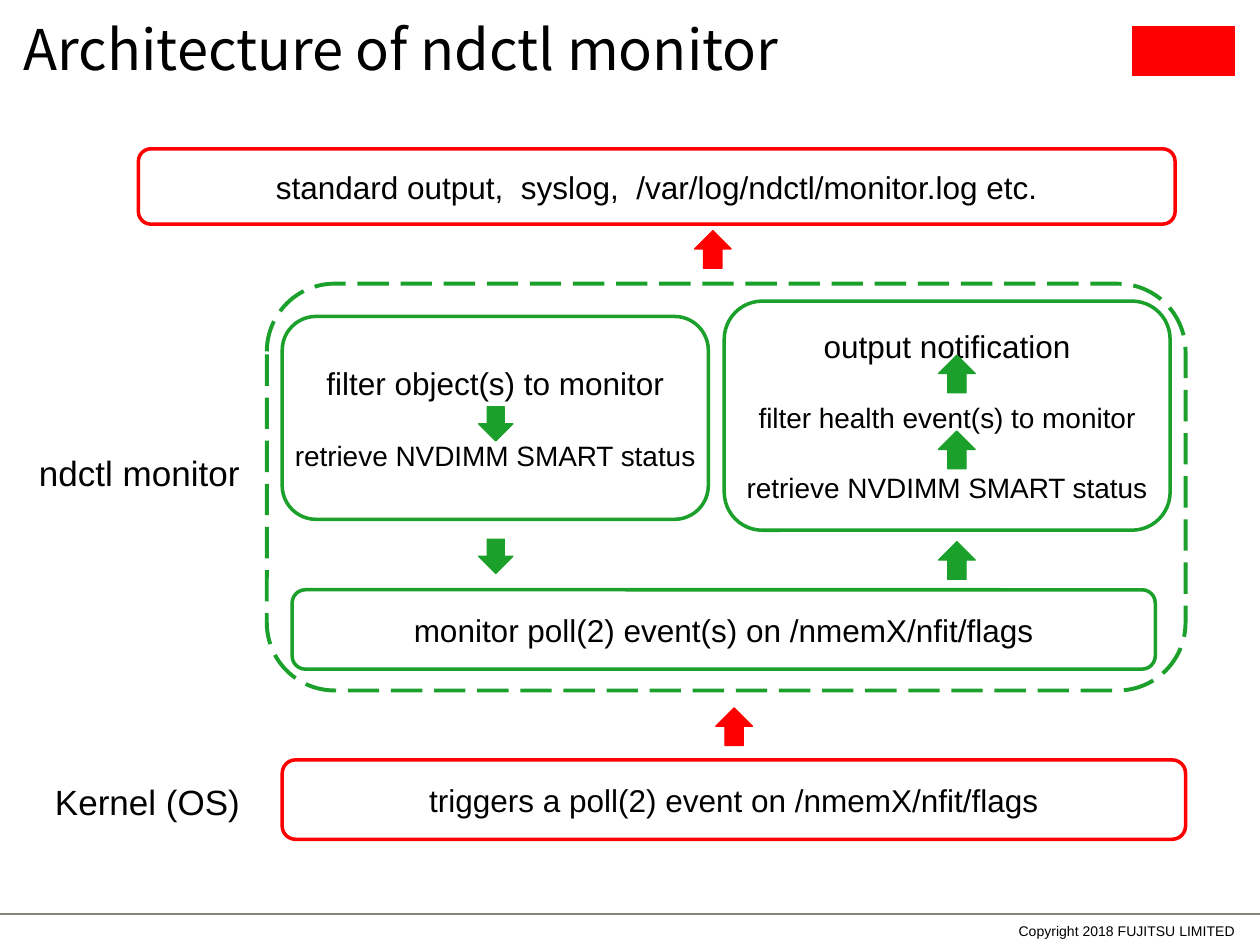
from dataclasses import dataclass

from lxml.etree import SubElement
from pptx import Presentation
from pptx.dml.color import RGBColor
from pptx.enum.dml import MSO_LINE
from pptx.enum.shapes import MSO_CONNECTOR, MSO_SHAPE as Shape
from pptx.enum.text import MSO_ANCHOR as Anchor, PP_ALIGN as Align
from pptx.oxml.ns import qn
from pptx.util import Cm, Pt


@dataclass(frozen=True)
class Theme:
    black: RGBColor = RGBColor(0x00, 0x00, 0x00)
    white: RGBColor = RGBColor(0xFF, 0xFF, 0xFF)
    red: RGBColor = RGBColor(0xFF, 0x00, 0x00)
    green: RGBColor = RGBColor(0x1B, 0xA1, 0x2B)
    rule: RGBColor = RGBColor(0x87, 0x86, 0x7E)
    title_font: str = "Noto Sans CJK JP"
    body_font: str = "Arial"
    title: int = 32
    label: int = 20
    step: int = 18
    small_step: int = 16
    footer: int = 8
    step_gap: float = 20.7


THEME = Theme()


def place(left, top, width, height):
    return Cm(left), Cm(top), Cm(width), Cm(height)


def style_para(para, text, size, align, font=THEME.body_font):
    para.text = text
    para.alignment = align
    para.font.name = font
    para.font.size = Pt(size)
    para.font.color.rgb = THEME.black


def add_text(page, area, text, size, align, font=THEME.body_font):
    """Add a line of text without margins, centred vertically."""
    frame = page.shapes.add_textbox(*place(*area)).text_frame
    frame.word_wrap = True
    frame.vertical_anchor = Anchor.MIDDLE
    frame.margin_left = frame.margin_right = 0
    frame.margin_top = frame.margin_bottom = 0
    style_para(frame.paragraphs[0], text, size, align, font)


def add_label(page, area, text):
    frame = page.shapes.add_textbox(*place(*area)).text_frame
    frame.word_wrap = False
    style_para(frame.paragraphs[0], text, THEME.label, Align.CENTER)


def add_outline(page, kind, area, color, weight, fill=None):
    shape = page.shapes.add_shape(kind, *place(*area))
    shape.shadow.inherit = False
    if fill is None:
        shape.fill.background()
    else:
        shape.fill.solid()
        shape.fill.fore_color.rgb = fill
    shape.line.color.rgb = color
    shape.line.width = Pt(weight)
    return shape


def add_box(page, area, color, *steps):
    """Add a rounded box; each step is a (text, size) pair."""
    box = add_outline(page, Shape.ROUNDED_RECTANGLE, area, color, 2, THEME.white)
    frame = box.text_frame
    frame.word_wrap = False
    frame.vertical_anchor = Anchor.MIDDLE
    for index, (text, size) in enumerate(steps):
        para = frame.add_paragraph() if index else frame.paragraphs[0]
        style_para(para, text, size, Align.CENTER)
        if index:
            para.space_before = Pt(THEME.step_gap)


def add_up_arrow(page, left, top, color):
    add_outline(page, Shape.UP_ARROW, (left, top, 0.74, 0.76), color, 0.75, color)


def add_down_arrow(page, left, top, color):
    add_outline(page, Shape.DOWN_ARROW, (left, top, 0.69, 0.69), color, 0.75, color)


def add_footer(page):
    rule = page.shapes.add_connector(
        MSO_CONNECTOR.STRAIGHT, Cm(0), Cm(18.42), Cm(25.4), Cm(18.42))
    rule.line.color.rgb = THEME.rule
    rule.line.width = Pt(1)
    SubElement(rule._element.spPr, qn("a:effectLst"))
    add_text(page, (13.72, 18.49, 11.18, 0.56), "Copyright 2018 FUJITSU LIMITED",
             THEME.footer, Align.RIGHT)


def add_monitor(page):
    retrieve = ("retrieve NVDIMM SMART status", THEME.small_step)
    add_label(page, (0.51, 8.97, 4.6, 1.12), "ndctl monitor")
    add_box(page, (14.6, 6.07, 8.99, 4.62), THEME.green,
            ("output notification", THEME.step),
            ("filter health event(s) to monitor", THEME.small_step), retrieve)
    add_box(page, (5.89, 11.89, 17.4, 1.6), THEME.green,
            ("monitor poll(2) event(s) on /nmemX/nfit/flags", THEME.step))
    frame = add_outline(page, Shape.ROUNDED_RECTANGLE, (5.38, 5.72, 18.52, 8.2),
                        THEME.green, 2.25)
    frame.line.dash_style = MSO_LINE.LONG_DASH
    add_box(page, (5.69, 6.38, 8.59, 4.09), THEME.green,
            ("filter object(s) to monitor", THEME.step), retrieve)
    for top in (8.2, 10.87):
        add_down_arrow(page, 9.65, top, THEME.green)
    for top in (7.16, 8.69, 10.92):
        add_up_arrow(page, 18.92, top, THEME.green)


def main():
    deck = Presentation()
    deck.slide_width, deck.slide_height = Cm(25.4), Cm(19.05)
    page = deck.slides.add_slide(deck.slide_layouts[6])

    add_footer(page)
    add_outline(page, Shape.RECTANGLE, (22.83, 0.53, 2.06, 0.99),
                THEME.red, 0.75, THEME.red)
    add_text(page, (0.48, 0, 21.82, 1.93), "Architecture of ndctl monitor",
             THEME.title, Align.LEFT, THEME.title_font)

    add_box(page, (2.79, 3, 20.9, 1.52), THEME.red,
            ("standard output,  syslog,  /var/log/ndctl/monitor.log etc.", THEME.step))
    add_up_arrow(page, 14, 4.65, THEME.red)
    add_monitor(page)
    add_up_arrow(page, 14.43, 14.27, THEME.red)
    add_label(page, (0.84, 15.6, 4.27, 1.12), "Kernel (OS)")
    add_box(page, (5.69, 15.32, 18.21, 1.6), THEME.red,
            ("triggers a poll(2) event on /nmemX/nfit/flags", THEME.step))

    deck.save("out.pptx")


if __name__ == "__main__":
    main()
